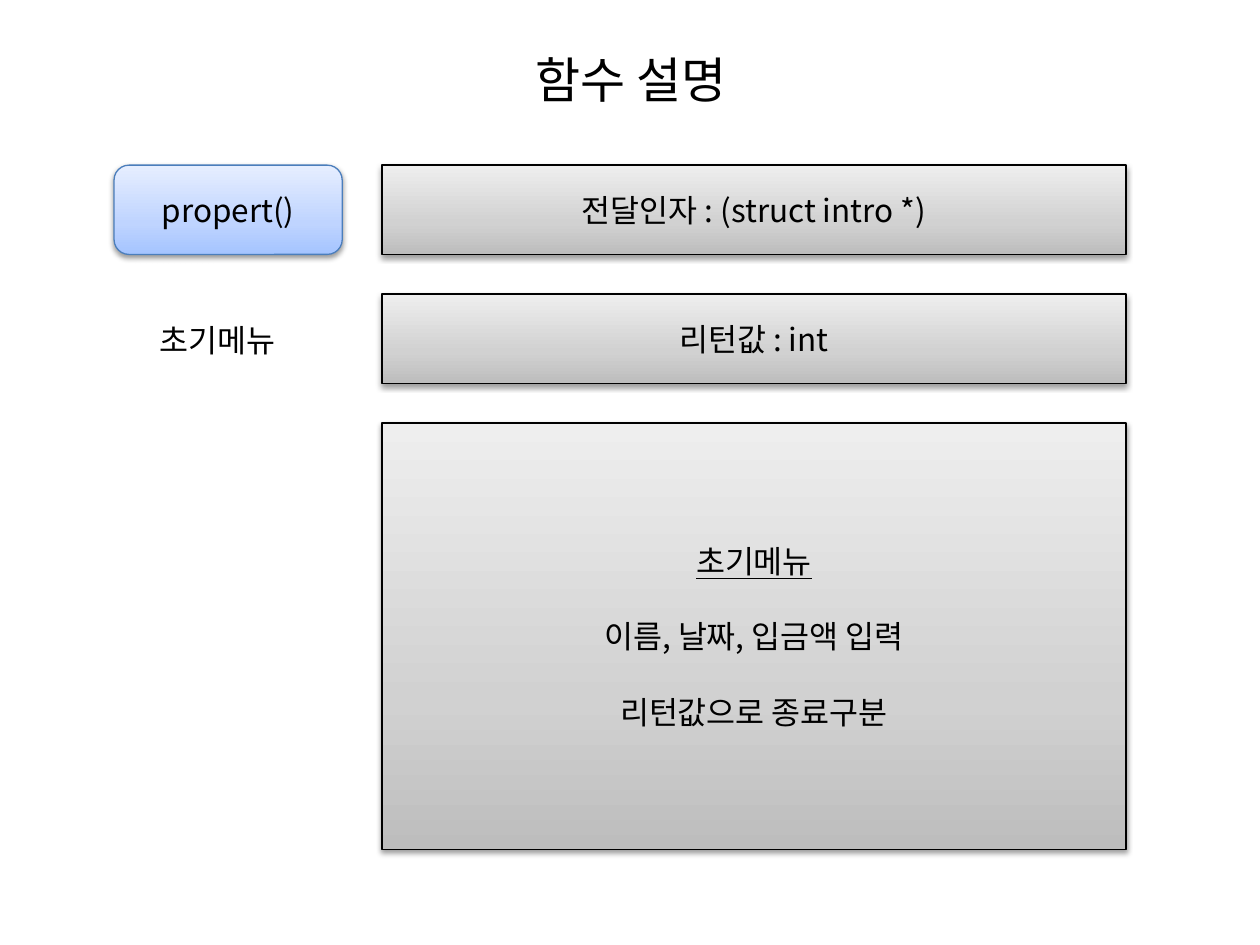
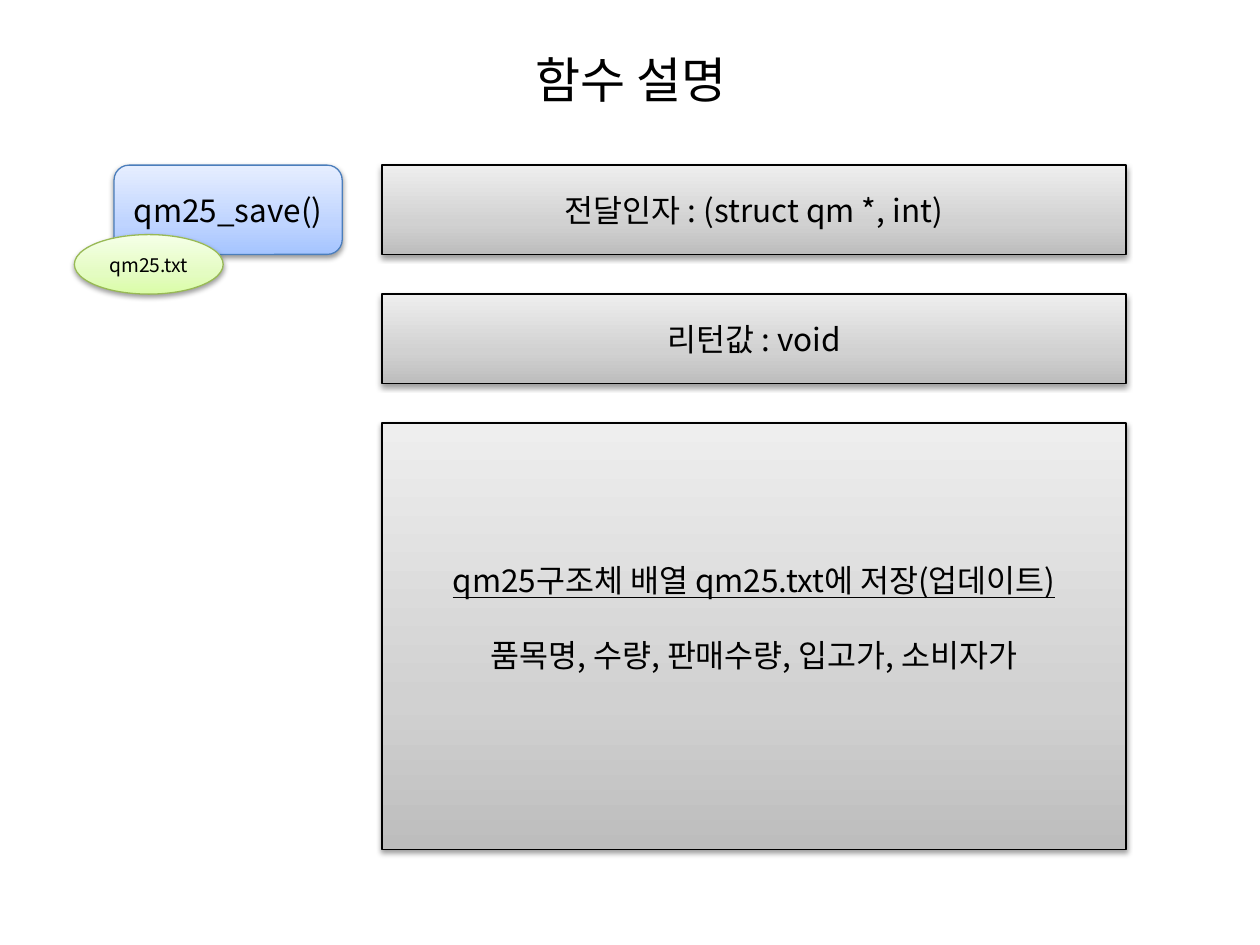
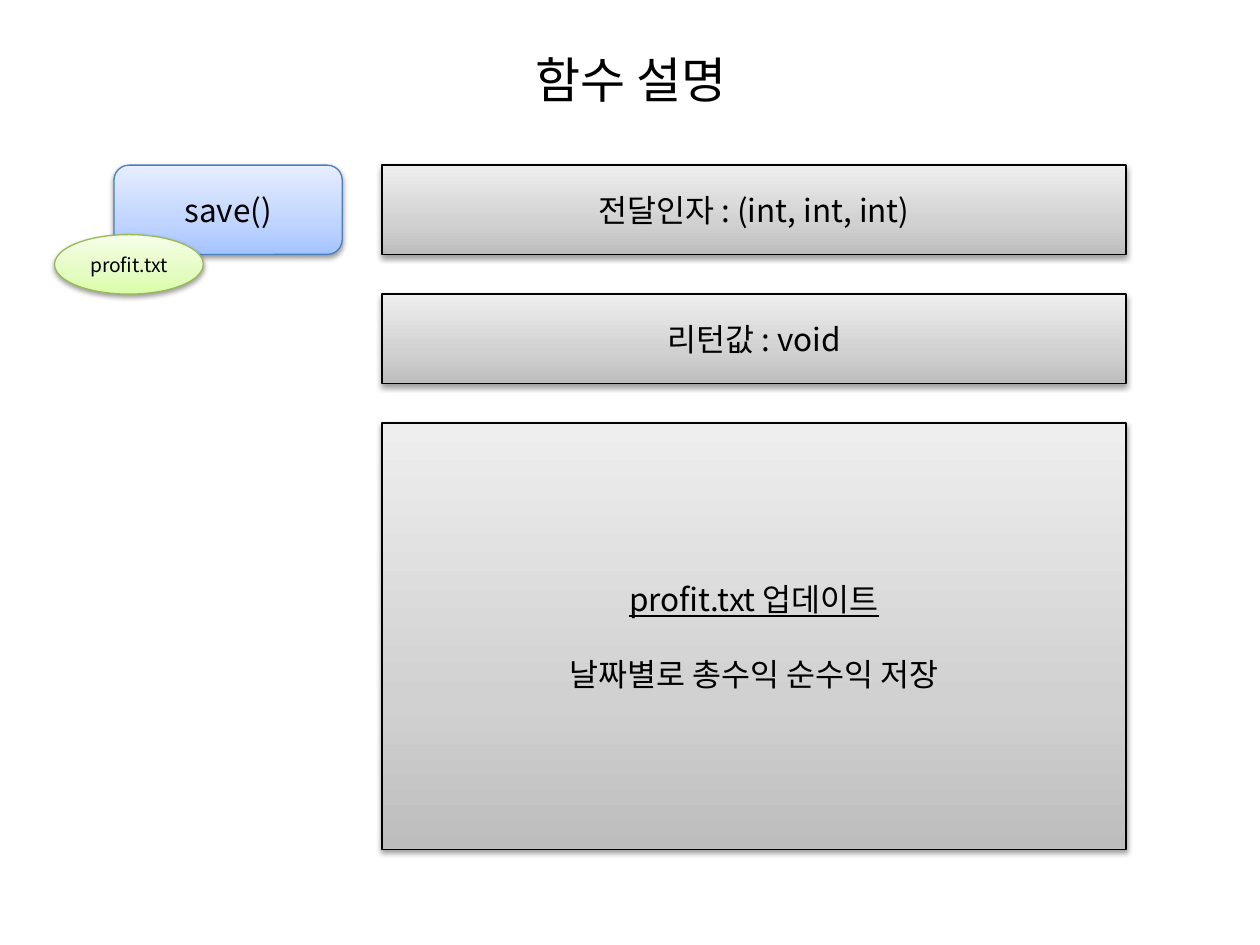
from copy import deepcopy

from pptx import Presentation
from pptx.dml.color import RGBColor
from pptx.enum.shapes import MSO_SHAPE
from pptx.enum.text import MSO_ANCHOR, MSO_AUTO_SIZE, PP_ALIGN
from pptx.oxml import parse_xml
from pptx.oxml.ns import nsdecls, qn
from pptx.util import Cm, Pt

RECT, ROUNDED, OVAL = MSO_SHAPE.RECTANGLE, MSO_SHAPE.ROUNDED_RECTANGLE, MSO_SHAPE.OVAL
CENTER, LEFT = PP_ALIGN.CENTER, PP_ALIGN.LEFT
MIDDLE, TOP = MSO_ANCHOR.MIDDLE, MSO_ANCHOR.TOP
FIT_SHAPE = MSO_AUTO_SIZE.SHAPE_TO_FIT_TEXT

FONT = "Noto Sans CJK KR"
BLACK = "000000"
LINE_PT = 21.4  # height of one 18 pt line

# Line colour and gradient colours from bottom to top
GRAY = (BLACK, ("BDBDBD", "D1D1D1", "EEEEEE"))
BLUE = ("4B7EBC", ("A4C4FF", "BFD4FF", "E6EEFF"))
GREEN = ("98B955", ("DAFDA7", "E4FCC2", "F5FFE7"))
STOPS = (0, 0.35, 1)

# Grid in cm
ROW_TOP, ROW_H, ROW_GAP = 3.33, 1.8, 0.8
NAME_X, NAME_W = 2.3, 4.6
DETAIL_X, DETAIL_W, BODY_H = 7.7, 15, 8.6

# One entry per slide; "file" is the oval's text and left edge
FUNCTIONS = [
    {"name": "propert()", "args": "(struct intro *)", "returns": "int",
     "body": ["초기메뉴", "이름, 날짜, 입금액 입력", "리턴값으로 종료구분"],
     "caption": "초기메뉴"},
    {"name": "qm25_save()", "args": "(struct qm *, int)", "returns": "void",
     "body": ["qm25구조체 배열 qm25.txt에 저장(업데이트)",
              "품목명, 수량, 판매수량, 입고가, 소비자가"],
     "file": ("qm25.txt", 1.5), "raise_pt": LINE_PT},
    {"name": "save()", "args": "(int, int, int)", "returns": "void",
     "body": ["profit.txt 업데이트", "날짜별로 총수익 순수익 저장"],
     "file": ("profit.txt", 1.1)},
]


def rgb(color):
    return RGBColor.from_string(color)


def write(p, text, size=18, align=CENTER, underline=False):
    p.alignment = align
    r = p.add_run()
    r.text = text
    r.font.size = Pt(size)
    r.font.name = FONT
    r.font.color.rgb = rgb(BLACK)
    if underline:
        r.font.underline = True
    rPr = r.font._element
    rPr.append(parse_xml(f'<a:ea {nsdecls("a")} typeface="{FONT}"/>'))


def add_title(s, text):
    sp = s.shapes.title
    sp.left, sp.top, sp.width, sp.height = Cm(1.3), Cm(0), Cm(22.86), Cm(3.18)
    sp.text_frame.vertical_anchor = MIDDLE
    write(sp.text_frame.paragraphs[0], text, 28)


def fill_gradient(sp, colors):
    sp.fill.gradient()
    sp.fill.gradient_angle = 90
    stops = sp._element.spPr.find(qn("a:gradFill")).find(qn("a:gsLst"))
    stops.append(deepcopy(stops[0]))
    for stop, color, position in zip(sp.fill.gradient_stops, colors, STOPS):
        stop.color.rgb = rgb(color)
        stop.position = position


def add_shadow(sp):
    sp.shadow.inherit = False
    effects = sp._element.spPr.find(qn("a:effectLst"))
    effects.append(parse_xml(
        f'<a:outerShdw {nsdecls("a")} blurRad="40000" dist="20000" dir="5400000" rotWithShape="0">'
        f'<a:srgbClr val="{BLACK}"><a:alpha val="38000"/></a:srgbClr></a:outerShdw>'))


def add_box(s, kind, style, x, y, w, h):
    sp = s.shapes.add_shape(kind, Cm(x), Cm(y), Cm(w), Cm(h))
    line, colors = style
    fill_gradient(sp, colors)
    sp.line.color.rgb = rgb(line)
    sp.line.width = Pt(0.75)
    add_shadow(sp)
    sp.text_frame.word_wrap = True
    sp.text_frame.vertical_anchor = MIDDLE
    return sp


def add_label(s, kind, style, x, y, w, h, text, size=18):
    sp = add_box(s, kind, style, x, y, w, h)
    write(sp.text_frame.paragraphs[0], text, size)


def add_body(s, y, lines, raise_pt=0):
    """Description box: underlined heading, then lines one line apart."""
    tf = add_box(s, RECT, GRAY, DETAIL_X, y, DETAIL_W, BODY_H).text_frame
    tf.margin_bottom += Pt(raise_pt)
    for i, line in enumerate(lines):
        p = tf.add_paragraph() if i else tf.paragraphs[0]
        if i:
            p.space_before = Pt(LINE_PT)
        write(p, line, underline=i == 0)


def add_caption(s, text):
    tf = s.shapes.add_textbox(Cm(2.97), Cm(6.35), Cm(3.07), Cm(1.02)).text_frame
    tf.word_wrap = False
    tf.auto_size = FIT_SHAPE
    tf.vertical_anchor = TOP
    write(tf.paragraphs[0], text, align=LEFT)


def add_function_slide(prs, func):
    s = prs.slides.add_slide(prs.slide_layouts[5])
    add_title(s, "함수 설명")
    args_y, returns_y, body_y = (ROW_TOP + i * (ROW_H + ROW_GAP) for i in range(3))

    # Function name and its signature
    add_label(s, ROUNDED, BLUE, NAME_X, args_y, NAME_W, ROW_H, func["name"])
    add_label(s, RECT, GRAY, DETAIL_X, args_y, DETAIL_W, ROW_H, f"전달인자 : {func['args']}")
    add_label(s, RECT, GRAY, DETAIL_X, returns_y, DETAIL_W, ROW_H, f"리턴값 : {func['returns']}")
    add_body(s, body_y, func["body"], func.get("raise_pt", 0))

    # Caption under the name, or the file it writes
    if "caption" in func:
        add_caption(s, func["caption"])
    if "file" in func:
        name, x = func["file"]
        add_label(s, OVAL, GREEN, x, 4.73, 3, 1.2, name, 11)


def main():
    prs = Presentation()
    prs.slide_width, prs.slide_height = Cm(25.4), Cm(19.05)
    for func in FUNCTIONS:
        add_function_slide(prs, func)
    prs.save("out.pptx")


main()
